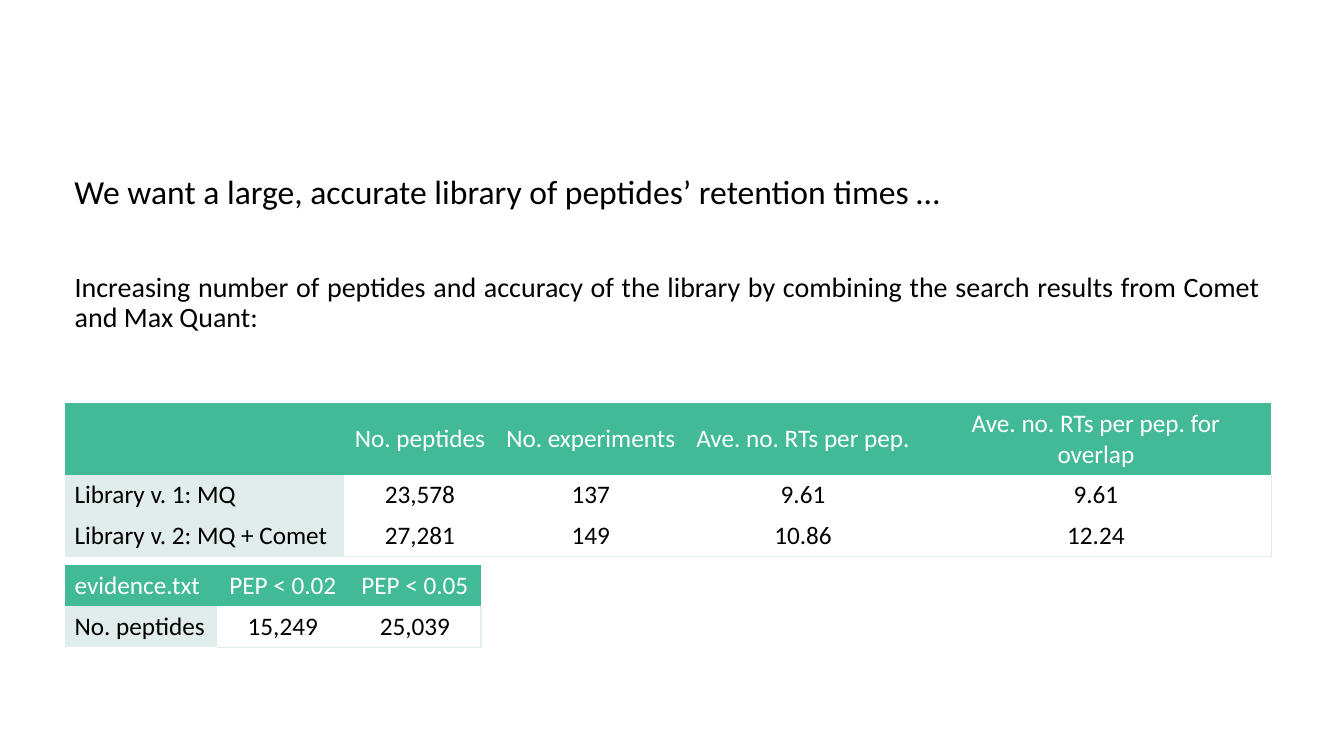
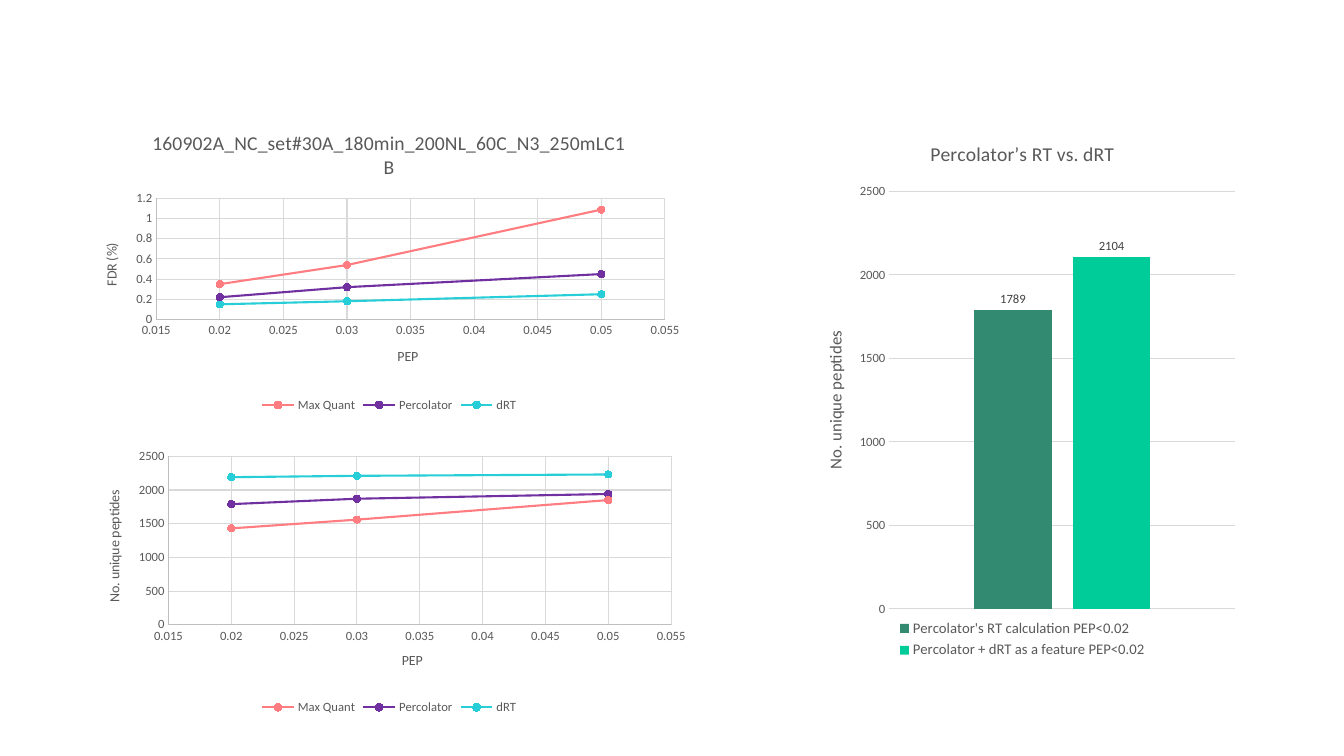
from dataclasses import dataclass
from typing import Any

from lxml import etree
from pptx import Presentation
from pptx import util as u
from pptx.chart import data as chart_data
from pptx.dml import color
from pptx.enum import chart as ce
from pptx.enum import text as te
from pptx.oxml import parse_xml
from pptx.oxml import ns


@dataclass(frozen=True)
class Theme:
    font: str = "Calibri"
    black: str = "000000"
    white: str = "FFFFFF"
    header: str = "42BA97"
    pale: str = "E0EDEC"
    chart_text: str = "595959"
    label_text: str = "404040"
    axis: str = "BFBFBF"
    grid: str = "D9D9D9"
    headline: float = 24
    title: float = 20
    table: float = 18
    chart_title: float = 14
    bar_axis: float = 12
    bar_legend: float = 10.5
    scatter_axis: float = 10
    tick: float = 9


@dataclass(frozen=True)
class Box:
    left: float
    top: float
    width: float
    height: float

    def lengths(self) -> tuple[u.Length, ...]:
        return tuple(u.Inches(n) for n in (self.left, self.top, self.width, self.height))


@dataclass(frozen=True)
class Grid:
    left: float
    top: float
    columns: tuple[float, ...]
    rows: tuple[tuple[str, ...], ...]
    centre_first_header: bool = False


@dataclass(frozen=True)
class Series:
    name: str
    values: tuple[float, ...]
    color: str


@dataclass(frozen=True)
class Scatter:
    box: Box
    plot: Box
    value_title: str
    maximum: float
    step: float
    results: tuple[tuple[float, ...], ...]
    title: str = ""


THEME = Theme()
ROW_HEIGHT = 0.4
NO_GRID_STYLE = "{2D5ABB26-0587-4C30-8999-92F81FD0307C}"
PEP_LIMITS = (0.02, 0.03, 0.05)
METHODS = (("Max Quant", "FF7C80"), ("Percolator", "7030A0"), ("dRT", "27CED7"))

LIBRARIES = Grid(0.64, 4, (2.77, 1.51, 1.88, 2.33, 3.48), (
    ("", "No. peptides", "No. experiments", "Ave. no. RTs per pep.",
     "Ave. no. RTs per pep. for overlap"),
    ("Library v. 1: MQ", "23,578", "137", "9.61", "9.61"),
    ("Library v. 2: MQ + Comet", "27,281", "149", "10.86", "12.24"),
))
EVIDENCE = Grid(0.64, 5.61, (1.51, 1.31, 1.31), (
    ("evidence.txt", "PEP < 0.02", "PEP < 0.05"),
    ("No. peptides", "15,249", "25,039"),
))
SCATTERS = (
    Scatter(Box(0.82, 1.13, 6.08, 3), Box(0.12, 0.28, 0.83, 0.4), "FDR (%)", 1.2, 0.2,
            ((0.35, 0.54, 1.09), (0.22, 0.32, 0.45), (0.15, 0.18, 0.25)),
            "160902A_NC_set#30A_180min_200NL_60C_N3_250mLC1B"),
    Scatter(Box(0.82, 4.39, 6.08, 2.74), Box(0.14, 0.05, 0.82, 0.61),
            "No. unique peptides", 2500, 500,
            ((1430, 1560, 1850), (1790, 1870, 1940), (2190, 2210, 2230))),
)
FEATURES = (
    Series("Percolator's RT calculation PEP<0.02", (1789,), "328B71"),
    Series("Percolator + dRT as a feature PEP<0.02", (2104,), "00CC99"),
)


def assign(target: Any, values: dict[str, Any]) -> None:
    for name, value in values.items():
        setattr(target, name, value)


def rgb(value: str) -> color.RGBColor:
    return color.RGBColor.from_string(value)


def style_font(font: Any, size: float, shade: str) -> None:
    assign(font, {"name": THEME.font, "size": u.Pt(size), "bold": False})
    font.color.rgb = rgb(shade)


def style_line(line: Any, shade: str, width: float = 0.75) -> None:
    line.color.rgb = rgb(shade)
    line.width = u.Pt(width)


def fill_solid(fill: Any, shade: str) -> None:
    fill.solid()
    fill.fore_color.rgb = rgb(shade)


def write_text(frame: Any, words: str, size: float, align: te.PP_ALIGN) -> None:
    assign(frame, {"word_wrap": True, "auto_size": te.MSO_AUTO_SIZE.NONE,
                   "vertical_anchor": te.MSO_ANCHOR.MIDDLE, "text": words})
    paragraph = frame.paragraphs[0]
    assign(paragraph, {"alignment": align, "line_spacing": 0.9})
    style_font(paragraph.runs[0].font, size, THEME.black)


def add_borders(cell: Any, sides: list[str]) -> None:
    properties = cell._tc.get_or_add_tcPr()
    for place, side in enumerate(sides):
        properties.insert(place, parse_xml(
            f'<a:ln{side} {ns.nsdecls("a")} w="12700"><a:solidFill>'
            f'<a:srgbClr val="{THEME.pale}"/></a:solidFill></a:ln{side}>'))


def add_grid(slide: Any, grid: Grid) -> None:
    box = Box(grid.left, grid.top, sum(grid.columns), ROW_HEIGHT * len(grid.rows))
    frame = slide.shapes.add_table(len(grid.rows), len(grid.columns), *box.lengths())
    table = frame.table
    for style in frame.element.iter(ns.qn("a:tableStyleId")):
        style.text = NO_GRID_STYLE
    assign(table, {"first_row": False, "horz_banding": False})
    for column, width in zip(table.columns, grid.columns):
        column.width = u.Inches(width)
    last_row, last_column = len(grid.rows) - 1, len(grid.columns) - 1
    for r, row in enumerate(grid.rows):
        for c, words in enumerate(row):
            cell = table.cell(r, c)
            assign(cell, {"text": words, "vertical_anchor": te.MSO_ANCHOR.MIDDLE})
            paragraph = cell.text_frame.paragraphs[0]
            paragraph.alignment = te.PP_ALIGN.CENTER if c else te.PP_ALIGN.LEFT
            style_font(paragraph.font, THEME.table, THEME.black if r else THEME.white)
            for run in paragraph.runs:
                style_font(run.font, THEME.table, THEME.black if r else THEME.white)
            if r and c:
                cell.fill.background()
                edges = (("R", c == last_column), ("B", r == last_row))
                add_borders(cell, [side for side, outer in edges if outer])
            else:
                fill_solid(cell.fill, THEME.pale if r else THEME.header)


def place_plot(chart: Any, plot: Box) -> None:
    area = chart.element.find(".//" + ns.qn("c:plotArea"))
    for old in area.findall(ns.qn("c:layout")):
        area.remove(old)
    layout = etree.Element(ns.qn("c:layout"))
    manual = etree.SubElement(layout, ns.qn("c:manualLayout"))
    settings = {"layoutTarget": "inner", "xMode": "edge", "yMode": "edge", "x": plot.left,
                "y": plot.top, "w": plot.width, "h": plot.height}
    for name, value in settings.items():
        etree.SubElement(manual, ns.qn(f"c:{name}")).set("val", str(value))
    area.insert(0, layout)


def write_chart_title(owner: Any, words: str, size: float) -> None:
    frame = owner.text_frame
    frame.text = words
    style_font(frame.paragraphs[0].runs[0].font, size, THEME.chart_text)


def style_axis(axis: Any, title: str, size: float, low: float, high: float, step: float) -> None:
    assign(axis, {"minimum_scale": low, "maximum_scale": high, "major_unit": step,
                  "has_major_gridlines": True, "major_tick_mark": ce.XL_TICK_MARK.NONE,
                  "minor_tick_mark": ce.XL_TICK_MARK.NONE})
    assign(axis.tick_labels, {"number_format": "General", "number_format_is_linked": False})
    style_font(axis.tick_labels.font, THEME.tick, THEME.chart_text)
    style_line(axis.major_gridlines.format.line, THEME.grid)
    style_line(axis.format.line, THEME.axis)
    write_chart_title(axis.axis_title, title, size)


def add_chart(slide: Any, kind: ce.XL_CHART_TYPE, box: Box, plot: Box, data: Any,
              title: str, legend_size: float) -> Any:
    chart = slide.shapes.add_chart(kind, *box.lengths(), data).chart
    style_font(chart.font, THEME.scatter_axis, THEME.black)
    assign(chart, {"has_title": bool(title), "has_legend": True})
    if title:
        write_chart_title(chart.chart_title, title, THEME.chart_title)
    assign(chart.legend, {"position": ce.XL_LEGEND_POSITION.BOTTOM, "include_in_layout": False})
    style_font(chart.legend.font, legend_size, THEME.chart_text)
    chart.plots[0].vary_by_categories = False
    place_plot(chart, plot)
    return chart


def add_scatter(slide: Any, scatter: Scatter) -> None:
    data = chart_data.XyChartData()
    for (method, _), values in zip(METHODS, scatter.results):
        points = data.add_series(method)
        for limit, value in zip(PEP_LIMITS, values):
            points.add_data_point(limit, value)
    chart = add_chart(slide, ce.XL_CHART_TYPE.XY_SCATTER_SMOOTH, scatter.box, scatter.plot,
                      data, scatter.title, THEME.tick)
    style_axis(chart.category_axis, "PEP", THEME.scatter_axis, 0.015, 0.055, 0.005)
    style_axis(chart.value_axis, scatter.value_title, THEME.scatter_axis,
               0, scatter.maximum, scatter.step)
    for curve, (_, shade) in zip(chart.plots[0].series, METHODS):
        curve.smooth = True
        style_line(curve.format.line, shade, 1.5)
        assign(curve.marker, {"style": ce.XL_MARKER_STYLE.CIRCLE, "size": 5})
        fill_solid(curve.marker.format.fill, shade)
        style_line(curve.marker.format.line, shade)


def add_feature_bars(slide: Any) -> None:
    data = chart_data.CategoryChartData()
    data.categories = ["1"]
    for feature in FEATURES:
        data.add_series(feature.name, feature.values)
    chart = add_chart(slide, ce.XL_CHART_TYPE.COLUMN_CLUSTERED, Box(7.94, 1.2, 4.4, 5.38),
                      Box(0.2, 0.13, 0.78, 0.77), data, "Percolator’s RT vs. dRT",
                      THEME.bar_legend)
    chart.category_axis.visible = False
    style_axis(chart.value_axis, "No. unique peptides", THEME.bar_axis, 0, 2500, 500)
    chart.value_axis.format.line.fill.background()
    assign(chart.plots[0], {"gap_width": 219, "overlap": -27})
    for bar, feature in zip(chart.plots[0].series, FEATURES):
        fill_solid(bar.format.fill, feature.color)
        assign(bar.data_labels, {"show_value": True,
                                 "position": ce.XL_LABEL_POSITION.OUTSIDE_END})
        style_font(bar.data_labels.font, THEME.tick, THEME.label_text)


def build_library_slide(deck: Any) -> None:
    slide = deck.slides.add_slide(deck.slide_layouts[5])
    title = slide.shapes.title
    assign(title, dict(zip(("left", "top", "width", "height"),
                           Box(0.64, 2.65, 11.96, 0.72).lengths())))
    write_text(title.text_frame, "Increasing number of peptides and accuracy of the library by "
               "combining the search results from Comet and Max Quant:",
               THEME.title, te.PP_ALIGN.JUSTIFY)
    add_grid(slide, LIBRARIES)
    goal = slide.shapes.add_textbox(*Box(0.64, 1.2, 9.81, 1.45).lengths())
    write_text(goal.text_frame, "We want a large, accurate library of peptides’ retention times …",
               THEME.headline, te.PP_ALIGN.LEFT)
    add_grid(slide, EVIDENCE)


def build_results_slide(deck: Any) -> None:
    slide = deck.slides.add_slide(deck.slide_layouts[6])
    add_feature_bars(slide)
    for scatter in SCATTERS:
        add_scatter(slide, scatter)


def main() -> None:
    deck = Presentation()
    assign(deck, {"slide_width": u.Inches(13.33), "slide_height": u.Inches(7.5)})
    build_library_slide(deck)
    build_results_slide(deck)
    deck.save("out.pptx")


if __name__ == "__main__":
    main()
